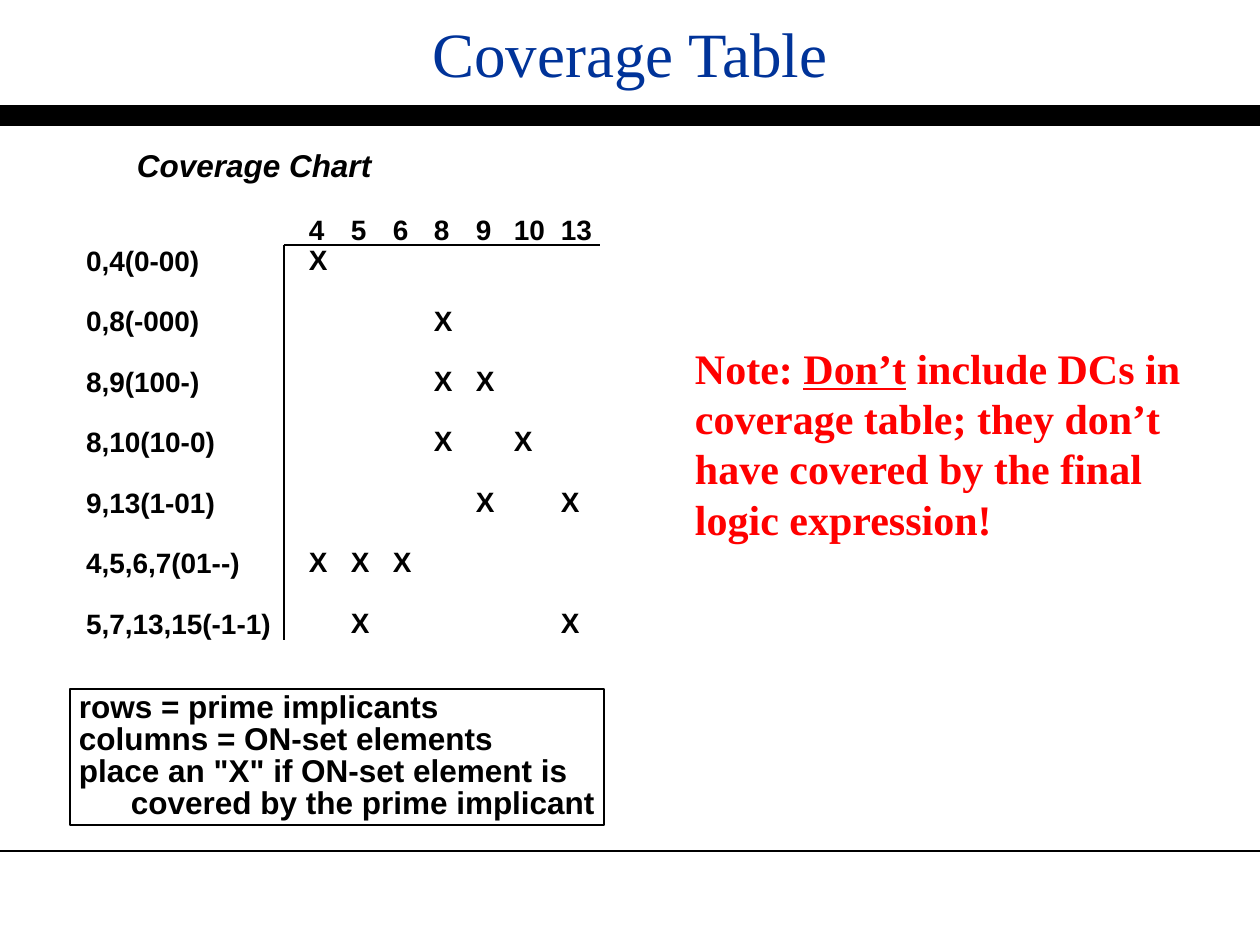
from pptx import Presentation
from pptx.dml.color import RGBColor
from pptx.enum.shapes import MSO_CONNECTOR, MSO_SHAPE
from pptx.enum.text import MSO_ANCHOR, MSO_AUTO_SIZE as FIT, PP_ALIGN
from pptx.util import Emu, Pt
from lxml.etree import SubElement
from pptx.oxml.ns import qn

PX = 914400 // 126
BLACK, BLUE, RED = "000000", "003399", "FF0000"

TITLE = "Coverage Table"
CHART_HEADING = "Coverage Chart"
NOTE = [
    ("Note: ", False),
    ("Don’t", True),
    (" include DCs in coverage table; they don’t have covered by the final logic expression!", False),
]
# Prime implicant, ON-set elements it covers
IMPLICANTS = [
    ("0,4(0-00)", [4]),
    ("0,8(-000)", [8]),
    ("8,9(100-)", [8, 9]),
    ("8,10(10-0)", [8, 10]),
    ("9,13(1-01)", [9, 13]),
    ("4,5,6,7(01--)", [4, 5, 6]),
    ("5,7,13,15(-1-1)", [5, 13]),
]
# ON-set element: left edge, width
ELEMENTS = {4: (296, 48), 5: (338, 48), 6: (380, 48), 8: (421, 48),
            9: (463, 48), 10: (501, 62), 13: (548, 62)}
# Legend line, indent
LEGEND = [
    ("rows = prime implicants", 0),
    ("columns = ON-set elements", 0),
    ('place an "X" if ON-set element is', 0),
    ("covered by the prime implicant", 52),
]
# Start, end, weight in points
RULES = [
    ((0, 116), (1260, 116), 12),
    ((0, 851), (1260, 851), 1.5),
    ((284, 245), (284, 640), 1),
    ((284, 245), (600, 245), 1),
]
GRID_LINE = 17.25
GRID_FONT = {"name": "Arial", "size": Pt(16), "bold": True}
HEADING_FONT = {"name": "Arial", "size": Pt(18), "bold": True, "italic": True}
LEGEND_FONT = {"name": "Arial", "size": Pt(18), "bold": True}
TITLE_FONT = {"name": "Times New Roman", "size": Pt(36)}
NOTE_FONT = {"name": "Times New Roman", "size": Pt(24), "bold": True}


def px(length):
    return Emu(round(length * PX))


def color(value):
    return RGBColor.from_string(value)


def set_all(target, values):
    for name, value in values.items():
        setattr(target, name, value)


def add_rule(slide, start, end, weight):
    rule = slide.shapes.add_connector(MSO_CONNECTOR.STRAIGHT, *map(px, start + end))
    rule.line.color.rgb = color(BLACK)
    rule.line.width = Pt(weight)
    SubElement(rule._element.spPr, qn("a:effectLst"))


def set_frame(shape, wrap=True, inset=(13, 6), anchor=MSO_ANCHOR.TOP, fit=FIT.NONE):
    frame = shape.text_frame
    side, top = map(px, inset)
    set_all(frame, {"word_wrap": wrap, "auto_size": fit, "vertical_anchor": anchor,
                    "margin_left": side, "margin_right": side,
                    "margin_top": top, "margin_bottom": top})
    return frame


def add_box(slide, place, **frame_options):
    return set_frame(slide.shapes.add_textbox(*map(px, place)), **frame_options)


def add_paragraph(frame, runs, font, ink=BLACK, **layout):
    """Fill the first paragraph if it is empty, else append; runs are (text, underlined)."""
    first = frame.paragraphs[0]
    paragraph = frame.add_paragraph() if first.runs else first
    set_all(paragraph, {"alignment": PP_ALIGN.LEFT, **layout})
    for text, underlined in runs:
        run = paragraph.add_run()
        run.text = text
        set_all(run.font, {**font, "underline": underlined})
        run.font.color.rgb = color(ink)
    return paragraph


def add_grid_column(slide, left, top, width, entries):
    """Stack (line number, text) entries, with spacing in place of the unused lines."""
    last = entries[-1][0]
    frame = add_box(slide, (left, top, width, 13 + 30.2 * (last + 1)))
    previous = -1
    for line, text in entries:
        add_paragraph(frame, [(text, False)], GRID_FONT, line_spacing=Pt(GRID_LINE),
                      space_before=Pt(GRID_LINE * (line - previous - 1)))
        previous = line


def add_legend(slide):
    box = slide.shapes.add_shape(MSO_SHAPE.RECTANGLE, *map(px, (70, 689, 534, 136)))
    box.shadow.inherit = False
    box.fill.background()
    box.line.color.rgb = color(BLACK)
    box.line.width = Pt(1)
    frame = set_frame(box, wrap=False, inset=(9, 4), fit=FIT.SHAPE_TO_FIT_TEXT)
    for text, indent in LEGEND:
        paragraph = add_paragraph(frame, [(text, False)], LEGEND_FONT, line_spacing=Pt(18.3))
        paragraph._p.get_or_add_pPr().set("marL", str(px(indent)))


def add_coverage_grid(slide):
    labels = [(2 * row, label) for row, (label, _) in enumerate(IMPLICANTS)]
    add_grid_column(slide, 73, 241, 222, labels)
    for element, (left, width) in ELEMENTS.items():
        marks = [(2 * row + 1, "X") for row, (_, covered) in enumerate(IMPLICANTS)
                 if element in covered]
        add_grid_column(slide, left, 210, width, [(0, str(element))] + marks)


def main():
    deck = Presentation()
    deck.slide_width, deck.slide_height = px(1260), px(945)
    slide = deck.slides.add_slide(deck.slide_layouts[6])

    for rule in RULES:
        add_rule(slide, *rule)
    add_legend(slide)
    heading = add_box(slide, (128, 148, 266, 39), inset=(9, 4))
    add_paragraph(heading, [(CHART_HEADING, False)], HEADING_FONT, line_spacing=Pt(18.3))
    add_coverage_grid(slide)
    title = add_box(slide, (0, 0, 1260, 105), anchor=MSO_ANCHOR.MIDDLE)
    add_paragraph(title, [(TITLE, False)], TITLE_FONT, BLUE, alignment=PP_ALIGN.CENTER)
    note = add_box(slide, (682, 336, 514, 214), anchor=MSO_ANCHOR.MIDDLE)
    add_paragraph(note, NOTE, NOTE_FONT, RED, line_spacing=Pt(28.8))

    deck.save("out.pptx")


if __name__ == "__main__":
    main()
